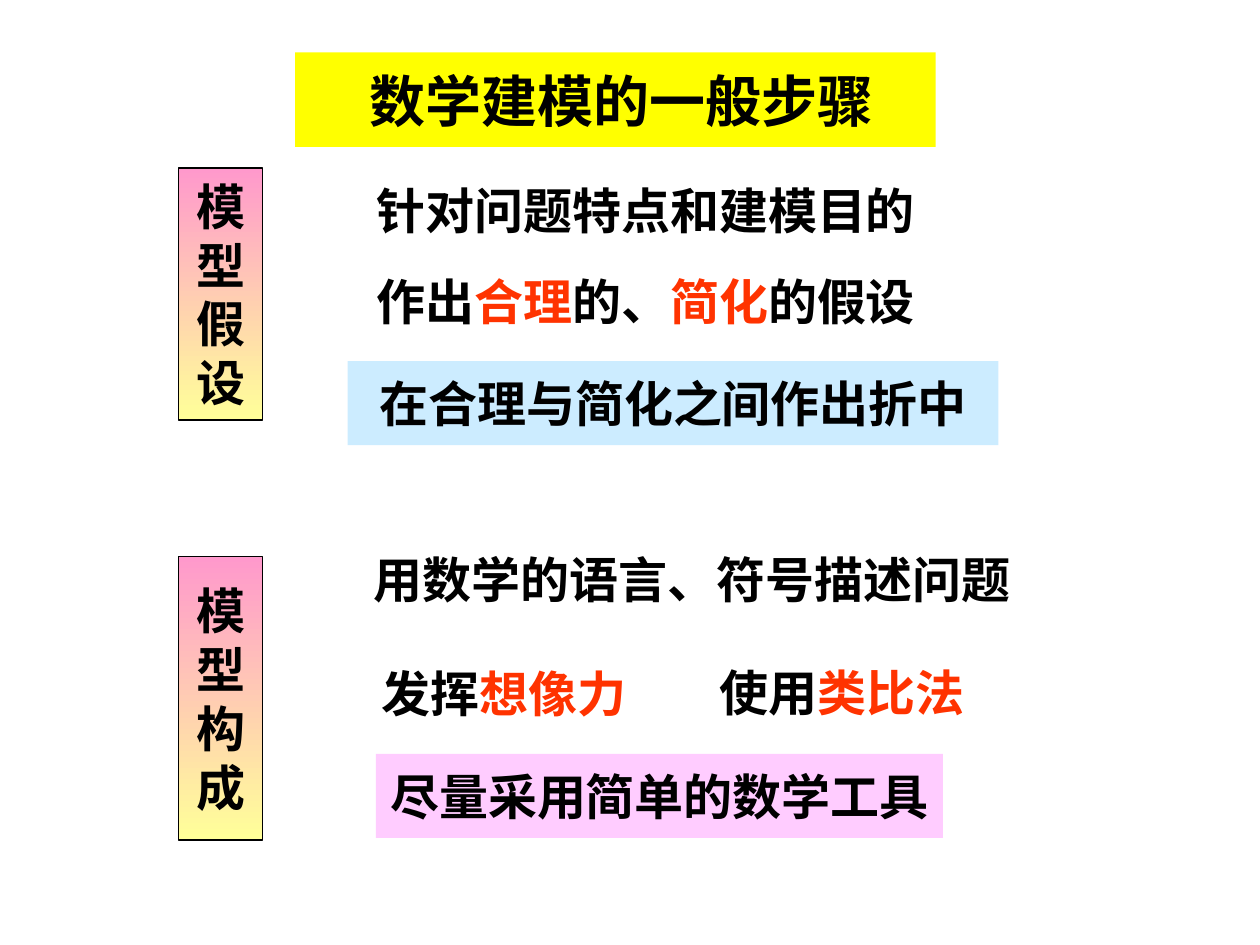
import dataclasses

import lxml.etree
import pptx
import pptx.dml.color
import pptx.enum.lang
import pptx.enum.shapes
import pptx.enum.text
import pptx.oxml.ns
import pptx.util


@dataclasses.dataclass(frozen=True)
class Theme:
    ink: str = "000000"
    accent: str = "FF3300"
    title_band: str = "FFFF00"
    label_top: str = "FF99CC"
    label_bottom: str = "FFFF99"
    compromise_band: str = "CCECFF"
    tools_band: str = "FFCCFF"
    body_font: str = "Times New Roman"
    chinese_font: str = "Noto Sans CJK SC"
    title_size: int = 32
    body_size: int = 28


THEME = Theme()
CELL = 1 / 12  # grid of 120 columns by 90 rows, in inches


def rgb(code):
    return pptx.dml.color.RGBColor.from_string(code)


def grid(*cells):
    return [pptx.util.Inches(cell * CELL) for cell in cells]


def inside(region, part):
    """Grid box of a part given relative to its region's corner."""
    return region[0] + part[0], region[1] + part[1], part[2], part[3]


def write(shape, paragraphs, size=THEME.body_size, font_name=THEME.body_font):
    """Fill a shape with centred paragraphs; each is a list of (text, colour) runs."""
    frame = shape.text_frame
    frame.word_wrap = False
    frame.auto_size = pptx.enum.text.MSO_AUTO_SIZE.NONE
    frame.vertical_anchor = pptx.enum.text.MSO_ANCHOR.MIDDLE
    for index, runs in enumerate(paragraphs):
        paragraph = frame.add_paragraph() if index else frame.paragraphs[0]
        paragraph.alignment = pptx.enum.text.PP_ALIGN.CENTER
        for text, colour in runs:
            run = paragraph.add_run()
            run.text = text
            font = run.font
            font.size, font.bold, font.name = pptx.util.Pt(size), True, font_name
            font.color.rgb = rgb(colour)
            font.language_id = pptx.enum.lang.MSO_LANGUAGE_ID.SIMPLIFIED_CHINESE
            east_asian = lxml.etree.SubElement(
                run._r.get_or_add_rPr(), pptx.oxml.ns.qn("a:ea"))
            east_asian.set("typeface", THEME.chinese_font)


def add_box(slide, box):
    shape = slide.shapes.add_shape(pptx.enum.shapes.MSO_SHAPE.RECTANGLE, *grid(*box))
    shape.shadow.inherit = False
    return shape


def place_title(slide, box, text):
    title = slide.shapes.title
    title.left, title.top, title.width, title.height = grid(*box)
    title.fill.solid()
    title.fill.fore_color.rgb = rgb(THEME.title_band)
    write(title, [[(text, THEME.ink)]], THEME.title_size, THEME.chinese_font)
    title.text_frame.margin_left = pptx.util.Inches(0.2)


def place_label(slide, box, text):
    """Vertical label, one character to a line, on a gradient."""
    label = add_box(slide, box)
    label.fill.gradient()
    label.fill.gradient_angle = 270
    for stop, colour in zip(label.fill.gradient_stops,
                            (THEME.label_top, THEME.label_bottom)):
        stop.color.rgb = rgb(colour)
    label.line.color.rgb = rgb(THEME.ink)
    label.line.width = pptx.util.Pt(0.75)
    write(label, [[(character, THEME.ink)] for character in text])


def place_step(slide, region, label, statements, conclusion):
    """One modelling step: label, statements and highlighted conclusion."""
    label_box, label_text = label
    place_label(slide, inside(region, label_box), label_text)

    for part, runs in statements:
        statement = slide.shapes.add_textbox(*grid(*inside(region, part)))
        write(statement, [runs])

    part, text, colour = conclusion
    band = add_box(slide, inside(region, part))
    band.fill.solid()
    band.fill.fore_color.rgb = rgb(colour)
    band.line.fill.background()
    write(band, [[(text, THEME.ink)]])


def main():
    deck = pptx.Presentation()
    deck.slide_width, deck.slide_height = grid(120, 90)
    slide = deck.slides.add_slide(deck.slide_layouts.get_by_name("Title Only"))
    ink, accent = THEME.ink, THEME.accent

    place_title(slide, (28.1, 5, 61, 9), "数学建模的一般步骤")

    # Model assumptions
    place_step(
        slide, (17, 16),
        label=((0, 0, 8, 24), "模型假设"),
        statements=[
            ((16, 0, 57, 8), [("针对问题特点和建模目的", ink)]),
            ((13.5, 8.7, 62, 8), [("作出", ink), ("合理", accent), ("的、", ink),
                                  ("简化", accent), ("的假设", ink)]),
        ],
        conclusion=((16.1, 18.4, 62, 8), "在合理与简化之间作出折中",
                    THEME.compromise_band))

    # Model construction
    place_step(
        slide, (17, 50.6),
        label=((0, 2.4, 8, 27), "模型构成"),
        statements=[
            ((17.4, 0, 63, 9), [("用数学的语言、符号描述问题", ink)]),
            ((16, 11.4, 30, 8), [("发挥", ink), ("想像力", accent)]),
            ((48.2, 11.3, 30, 8), [("使用", ink), ("类比法", accent)]),
        ],
        conclusion=((18.8, 21.2, 54, 8), "尽量采用简单的数学工具",
                    THEME.tools_band))

    deck.save("out.pptx")


if __name__ == "__main__":
    main()
